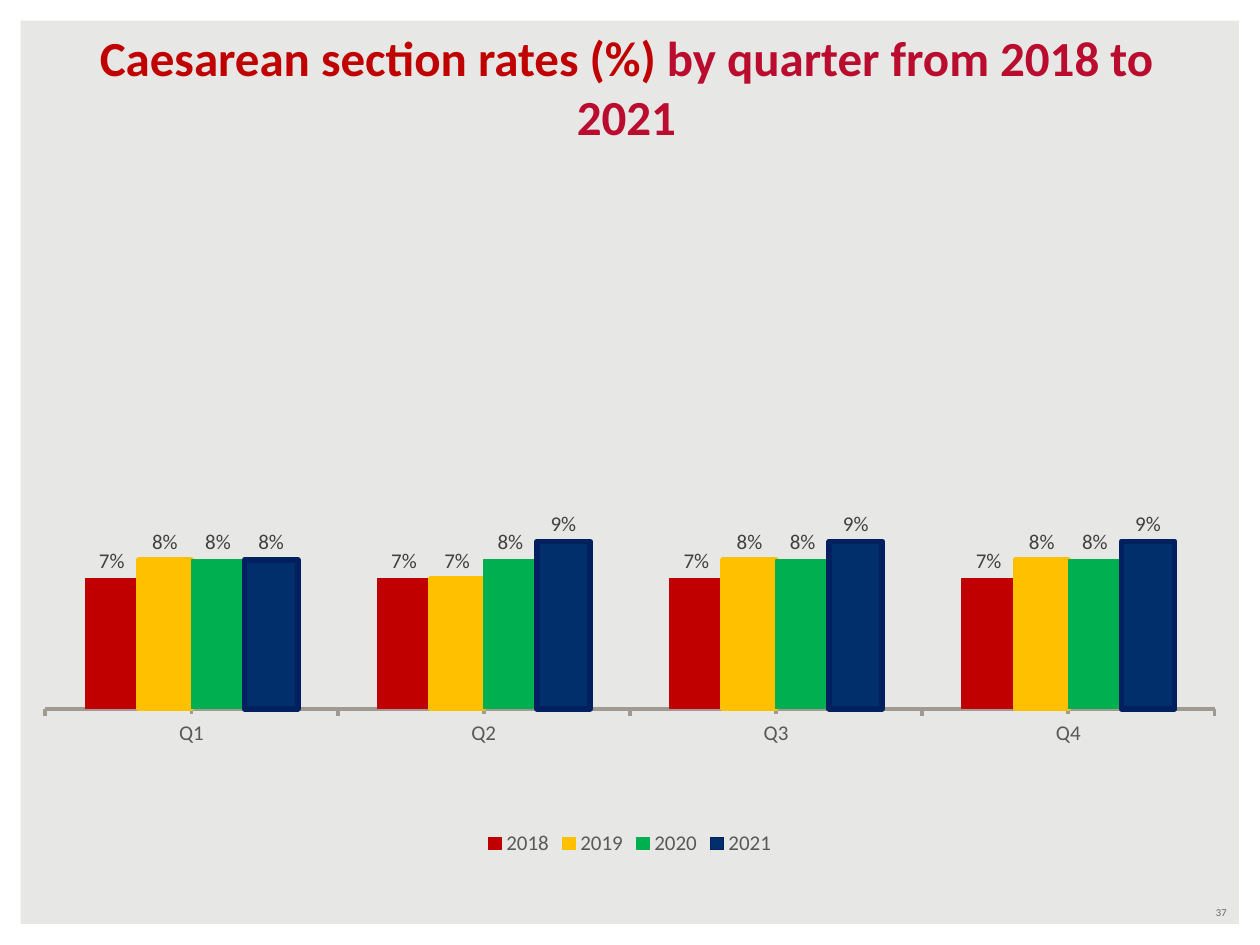
from dataclasses import dataclass

from lxml import etree
from pptx import Presentation
from pptx.chart.data import CategoryChartData
from pptx.dml.color import RGBColor
from pptx.enum.chart import (XL_CHART_TYPE, XL_LABEL_POSITION,
                             XL_LEGEND_POSITION, XL_TICK_MARK)
from pptx.enum.shapes import MSO_SHAPE
from pptx.enum.text import MSO_ANCHOR, PP_ALIGN
from pptx.oxml.ns import qn
from pptx.util import Pt

COLUMNS = XL_CHART_TYPE.COLUMN_CLUSTERED
OUTSIDE_END = XL_LABEL_POSITION.OUTSIDE_END
LEGEND_BOTTOM = XL_LEGEND_POSITION.BOTTOM
TICK_OUTSIDE = XL_TICK_MARK.OUTSIDE
FRAME = MSO_SHAPE.FRAME
BOTTOM, MIDDLE = MSO_ANCHOR.BOTTOM, MSO_ANCHOR.MIDDLE
CENTER, RIGHT = PP_ALIGN.CENTER, PP_ALIGN.RIGHT
TITLE_ONLY = 5


@dataclass(frozen=True)
class Theme:
    font: str = "Calibri"
    background: str = "E7E7E5"
    frame: str = "FFFFFF"
    title: str = "C00000"
    title_period: str = "BA0C2F"
    page_number: str = "6C6463"
    axis_line: str = "9F9B93"
    axis_text: str = "595959"
    label_text: str = "404040"
    title_size: float = 28
    chart_size: float = 12
    page_number_size: float = 6


THEME = Theme()
WIDTH, HEIGHT = 720, 540
QUARTERS = ("Q1", "Q2", "Q3", "Q4")
# Year, rates by quarter, fill colour, line colour, line width
YEARS = (
    ("2018", (0.07, 0.07, 0.07, 0.07), "C00000", "C00000", 0.75),
    ("2019", (0.08, 0.07, 0.08, 0.08), "FFC000", "FFC000", 3),
    ("2020", (0.08, 0.08, 0.08, 0.08), "00B050", "00B050", 0.75),
    ("2021", (0.08, 0.09, 0.09, 0.09), "002F6C", "002060", 3.25),
)
PLOT_AREA = {"x": 0.02, "y": 0.02, "w": 0.96, "h": 0.77}


def rgb(color):
    return RGBColor.from_string(color)


def style_font(font, size, color, bold=False):
    font.name = THEME.font
    font.size = Pt(size)
    font.bold = bold
    font.color.rgb = rgb(color)


def style_line(line, color, width):
    line.color.rgb = rgb(color)
    line.width = Pt(width)


def add_frame(slide):
    shape = slide.shapes.add_shape(FRAME, 0, 0, Pt(WIDTH), Pt(HEIGHT))
    shape.adjustments[0] = 0.022
    shape.shadow.inherit = False
    shape.fill.solid()
    shape.fill.fore_color.rgb = rgb(THEME.frame)
    shape.line.fill.background()


def set_title(slide, parts):
    """Fill the title with (text, colour) parts."""
    title = slide.shapes.title
    title.left, title.top, title.width, title.height = (
        Pt(28), Pt(10.8), Pt(660), Pt(75.6))
    title.text_frame.vertical_anchor = BOTTOM
    paragraph = title.text_frame.paragraphs[0]
    paragraph.alignment = CENTER
    for text, color in parts:
        run = paragraph.add_run()
        run.text = text
        style_font(run.font, THEME.title_size, color, bold=True)


def add_page_number(slide, number):
    box = slide.shapes.add_textbox(Pt(540), Pt(514), Pt(168), Pt(14.4))
    frame = box.text_frame
    frame.word_wrap = True
    frame.vertical_anchor = MIDDLE
    frame.text = number
    paragraph = frame.paragraphs[0]
    paragraph.alignment = RIGHT
    style_font(paragraph.runs[0].font, THEME.page_number_size, THEME.page_number)


def place_plot_area(chart):
    """Fix the inner plot area as fractions of the chart."""
    plot_area = chart.element.find(".//" + qn("c:plotArea"))
    layout = plot_area.find(qn("c:layout"))
    if layout is None:
        layout = etree.Element(qn("c:layout"))
        plot_area.insert(0, layout)
    manual = etree.SubElement(layout, qn("c:manualLayout"))
    settings = [("layoutTarget", "inner"), ("xMode", "edge"), ("yMode", "edge")]
    for name, value in settings + list(PLOT_AREA.items()):
        etree.SubElement(manual, qn("c:" + name)).set("val", str(value))


def style_axes(chart):
    category_axis = chart.category_axis
    category_axis.major_tick_mark = TICK_OUTSIDE
    category_axis.minor_tick_mark = TICK_OUTSIDE
    style_line(category_axis.format.line, THEME.axis_line, 2.25)
    style_font(category_axis.tick_labels.font, THEME.chart_size, THEME.axis_text)
    value_axis = chart.value_axis
    value_axis.minimum_scale, value_axis.maximum_scale = 0, 0.3
    value_axis.has_major_gridlines = False
    value_axis.visible = False


def style_series(series, fill, line, line_width):
    series.format.fill.solid()
    series.format.fill.fore_color.rgb = rgb(fill)
    style_line(series.format.line, line, line_width)
    labels = series.data_labels
    labels.show_value = True
    labels.position = OUTSIDE_END
    labels.number_format = "0%"
    labels.number_format_is_linked = False
    style_font(labels.font, THEME.chart_size, THEME.label_text)


def add_rate_chart(slide):
    data = CategoryChartData(number_format="0%")
    data.categories = QUARTERS
    for year, rates, *_ in YEARS:
        data.add_series(year, rates)
    chart = slide.shapes.add_chart(
        COLUMNS, Pt(12), Pt(78), Pt(696), Pt(414), data).chart
    style_font(chart.font, THEME.chart_size, THEME.axis_text)
    chart.has_title = False
    chart.has_legend = True
    chart.legend.position = LEGEND_BOTTOM
    chart.legend.include_in_layout = False
    style_font(chart.legend.font, THEME.chart_size, THEME.axis_text)
    plot = chart.plots[0]
    plot.gap_width, plot.overlap = 150, 0
    plot.vary_by_categories = False
    for series, (_, _, *style) in zip(plot.series, YEARS):
        style_series(series, *style)
    style_axes(chart)
    place_plot_area(chart)


def main():
    presentation = Presentation()
    presentation.slide_width, presentation.slide_height = Pt(WIDTH), Pt(HEIGHT)
    slide = presentation.slides.add_slide(presentation.slide_layouts[TITLE_ONLY])
    slide.background.fill.solid()
    slide.background.fill.fore_color.rgb = rgb(THEME.background)
    add_frame(slide)
    set_title(slide, (("Caesarean section rates (%) ", THEME.title),
                      ("by quarter from 2018 to 2021", THEME.title_period)))
    add_page_number(slide, "37")
    add_rate_chart(slide)
    presentation.save("out.pptx")


if __name__ == "__main__":
    main()
